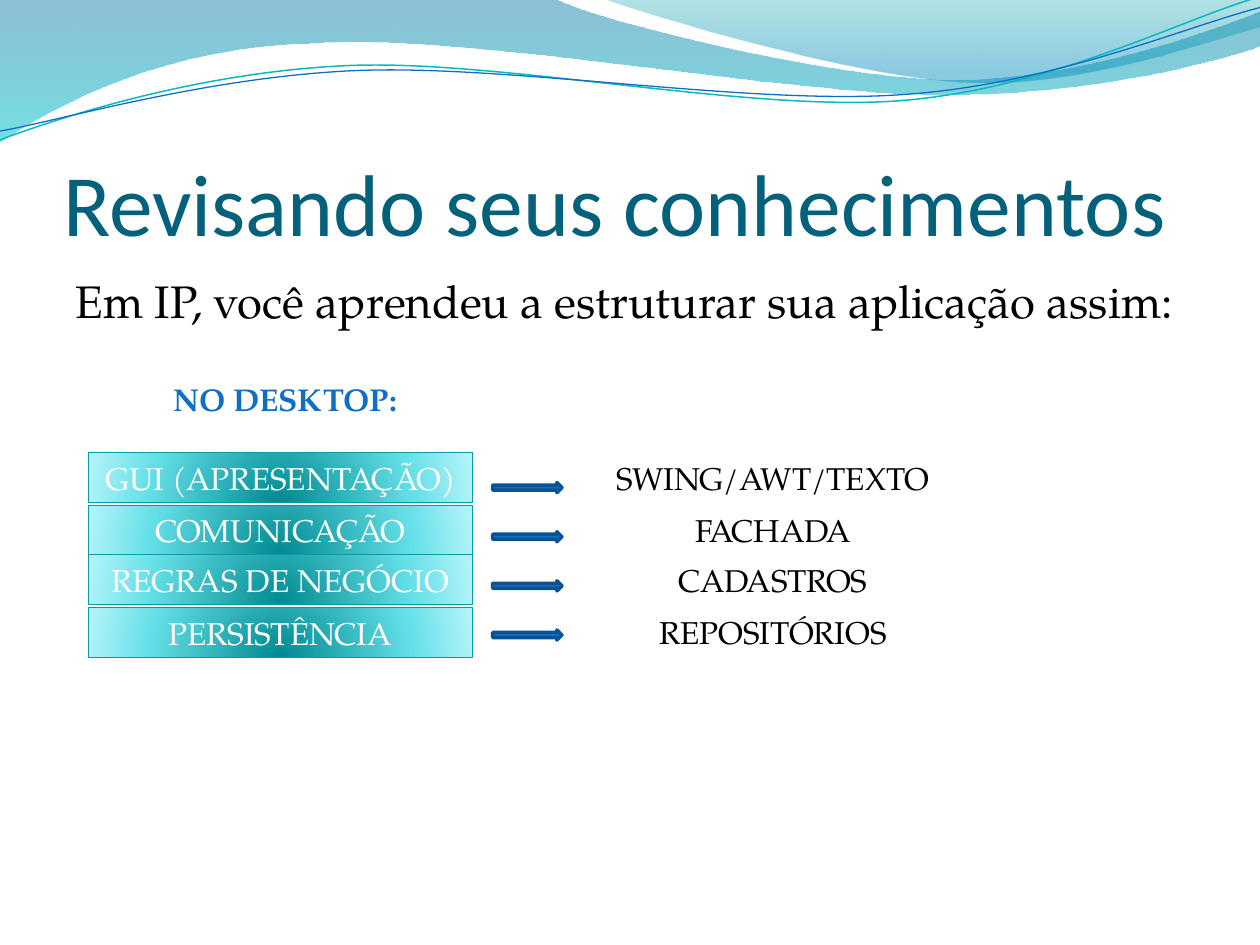
from dataclasses import dataclass
from math import cos, radians, sin

from pptx import Presentation
from pptx.dml.color import RGBColor
from pptx.enum.shapes import MSO_SHAPE as Preset
from pptx.enum.text import MSO_ANCHOR as Anchor, MSO_AUTO_SIZE as AutoSize, PP_ALIGN as Align
from pptx.oxml import parse_xml
from pptx.oxml.ns import nsdecls, qn
from pptx.util import Emu, Pt

PX = 9144  # 100 px to the inch


@dataclass(frozen=True)
class Theme:
    heading_font: str = "Calibri"
    body_font: str = "TeX Gyre Pagella"
    title_size: int = 50
    lead_size: int = 26
    label_size: int = 18
    title: str = "04617B"
    text: str = "000000"
    inverse: str = "FFFFFF"
    accent: str = "0F6FC6"
    arrow_line: str = "0B5292"
    box_line: str = "069CA3"
    teal_line: str = "0AB8BF"
    # gradient stops: position %, colour, opacity %
    box_stops: tuple = ((0, "008A91", 100), (68, "64DFE7", 100), (100, "B1F3F9", 100))
    left_wave: tuple = ((0, "0074A1", 45), (100, "00C6CF", 55))
    right_wave: tuple = ((0, "00A1A9", 30), (80, "008BBF", 45))


THEME = Theme()
DOWNWARD = '<a:lin ang="5400000" scaled="0"/>'
RADIAL = ('<a:path path="circle"><a:fillToRect l="50000" t="130000" '
          'r="50000" b="-30000"/></a:path>')

# layer, its technology, top of the row
LAYERS = (
    ("PERSISTÊNCIA", "REPOSITÓRIOS", 123),
    ("GUI (APRESENTAÇÃO)", "SWING/AWT/TEXTO", 0),
    ("COMUNICAÇÃO", "FACHADA", 42),
    ("REGRAS DE NEGÓCIO", "CADASTROS", 81),
)

# Each outline is a start point, then segments: one point is a line, three are a curve.
LEFT_WAVE = (
    (0, 0), [(440, -1)],
    [(476, 17), (664, 63), (758, 63)], [(853, 63), (958, 26), (1000, 9)],
    [(1001, 36)],
    [(983, 44), (870, 76), (746, 75)], [(622, 75), (382, 28), (257, 34)],
    [(129, 36), (46, 83), (-1, 113)])
RIGHT_WAVE = (
    (479, -1), [(509, 11), (682, 62), (769, 65)],
    [(856, 69), (961, 32), (1000, 21)], [(1000, 0)])
TEAL_RIPPLE = (
    (0, 111), [(48, 93), (158, 57), (277, 52)],
    [(395, 47), (593, 89), (713, 80)], [(833, 71), (938, 15), (998, -2)])
BLUE_RIPPLE = (
    (0, 104), [(47, 96), (164, 61), (283, 56)],
    [(403, 51), (597, 84), (717, 75)], [(836, 67), (941, 21), (1000, 6)])
RIPPLE_TILT = -2.7


def px(*lengths):
    return [Emu(round(length * PX)) for length in lengths]


def color(value):
    return RGBColor.from_string(value)


def set_line(shape, value, width):
    shape.line.color.rgb = color(value)
    shape.line.width = Pt(width)


def set_gradient(shape, stops, direction):
    shape.fill.gradient()
    properties = shape._element.spPr
    stop_xml = "".join(
        f'<a:gs pos="{position * 1000}"><a:srgbClr val="{value}">'
        f'<a:alpha val="{opacity * 1000}"/></a:srgbClr></a:gs>'
        for position, value, opacity in stops)
    gradient = parse_xml(f'<a:gradFill {nsdecls("a")} rotWithShape="1">'
                         f'<a:gsLst>{stop_xml}</a:gsLst>{direction}</a:gradFill>')
    properties.replace(properties.find(qn("a:gradFill")), gradient)


def write(shape, text, size, value, font=THEME.body_font, align=Align.CENTER, bold=False):
    shape.text_frame.word_wrap = True
    paragraph = shape.text_frame.paragraphs[0]
    paragraph.alignment = align
    run = paragraph.add_run()
    run.text = text
    run.font.name, run.font.size, run.font.bold = font, Pt(size), bold
    run.font.color.rgb = color(value)
    return paragraph


def add_label(slide, box, text, value=THEME.text, bold=False):
    label = slide.shapes.add_textbox(*px(*box))
    write(label, text, THEME.label_size, value, bold=bold)
    label.text_frame.auto_size = AutoSize.SHAPE_TO_FIT_TEXT


def add_outline(shapes, outline, place, close):
    """Draw an outline; place turns each of its points into slide px."""
    start, *segments = outline
    builder = shapes.build_freeform(*px(*place(start)))
    builder.add_line_segments(
        [px(*place(point)) for segment in segments for point in segment], close=close)
    shape = builder.convert_to_shape()
    shape.shadow.inherit = False
    lines = iter(list(shape._element.iter(qn("a:lnTo"))))
    for segment in segments:
        parts = [next(lines) for _ in segment]
        if len(parts) == 3:
            bezier = parse_xml(f'<a:cubicBezTo {nsdecls("a")}/>')
            parts[0].addprevious(bezier)
            for part in parts:
                bezier.append(part[0])
                part.getparent().remove(part)
    return shape


def draw_waves(slide, left, top):
    def shifted(point):
        return left + point[0], top + point[1]

    def untilted(point):
        x, y = point[0] - 499, point[1] - 58
        angle = radians(-RIPPLE_TILT)
        return (left + 499 + x * cos(angle) - y * sin(angle),
                top + 58 + x * sin(angle) + y * cos(angle))

    for outline, stops in ((LEFT_WAVE, THEME.left_wave), (RIGHT_WAVE, THEME.right_wave)):
        wave = add_outline(slide.shapes, outline, shifted, True)
        set_gradient(wave, stops, DOWNWARD)
        wave.line.fill.background()

    ripples = slide.shapes.add_group_shape()
    for outline, value, width in ((TEAL_RIPPLE, THEME.teal_line, 0.85),
                                  (BLUE_RIPPLE, THEME.accent, 0.75)):
        ripple = add_outline(ripples.shapes, outline, untilted, False)
        ripple.rotation = RIPPLE_TILT
        ripple.fill.background()
        set_line(ripple, value, width)


def place_title(slide, box, text):
    title = slide.shapes.title
    title.left, title.top, title.width, title.height = px(*box)
    frame = title.text_frame
    frame.vertical_anchor = Anchor.BOTTOM
    frame.margin_left, frame.margin_top, frame.margin_right, frame.margin_bottom = px(0, 5, 0, 0)
    write(title, text, THEME.title_size, THEME.title, THEME.heading_font, Align.LEFT)
    title._element.getparent().append(title._element)  # in front of the waves


def add_lead(slide, box, text):
    lead = slide.shapes.add_textbox(*px(*box))
    paragraph = write(lead, text, THEME.lead_size, THEME.text, align=Align.LEFT)
    paragraph.space_before = Pt(5)
    properties = paragraph._p.get_or_add_pPr()
    indent, = px(30)
    properties.set("marL", str(indent))
    properties.set("indent", str(-indent))


def add_layer_box(shapes, box, text):
    layer = shapes.add_shape(Preset.RECTANGLE, *px(*box))
    layer.shadow.inherit = False
    set_gradient(layer, THEME.box_stops, RADIAL)
    set_line(layer, THEME.box_line, 0.75)
    write(layer, text, THEME.label_size, THEME.inverse)
    layer.text_frame.auto_size = AutoSize.SHAPE_TO_FIT_TEXT


def add_arrow(slide, box):
    arrow = slide.shapes.add_shape(Preset.RIGHT_ARROW, *px(*box))
    arrow.shadow.inherit = False
    arrow.fill.solid()
    arrow.fill.fore_color.rgb = color(THEME.accent)
    set_line(arrow, THEME.arrow_line, 2)


def draw_layers(slide, left, top):
    width, height = 305, 40
    stack = slide.shapes.add_group_shape()
    for layer, _, offset in LAYERS:
        add_layer_box(stack.shapes, (left, top + offset, width, height), layer)
    add_label(slide, (left + 16, top - 62, 281, height), "NO DESKTOP:", THEME.accent, True)
    for row in range(len(LAYERS)):
        add_arrow(slide, (left + 321, top + 24 + 39 * row, 55, 8))
    for _, technology, offset in LAYERS:
        add_label(slide, (left + 391, top + offset, width, height), technology)


def main():
    presentation = Presentation()
    presentation.slide_width, presentation.slide_height = px(1000, 750)
    slide = presentation.slides.add_slide(presentation.slide_layouts[5])
    draw_waves(slide, 0, 0)
    place_title(slide, (50, 77, 900, 125), "Revisando seus conhecimentos")
    add_lead(slide, (50, 212, 900, 480),
             "Em IP, você aprendeu a estruturar sua aplicação assim:")
    draw_layers(slide, 70, 359)
    presentation.save("out.pptx")


if __name__ == "__main__":
    main()
